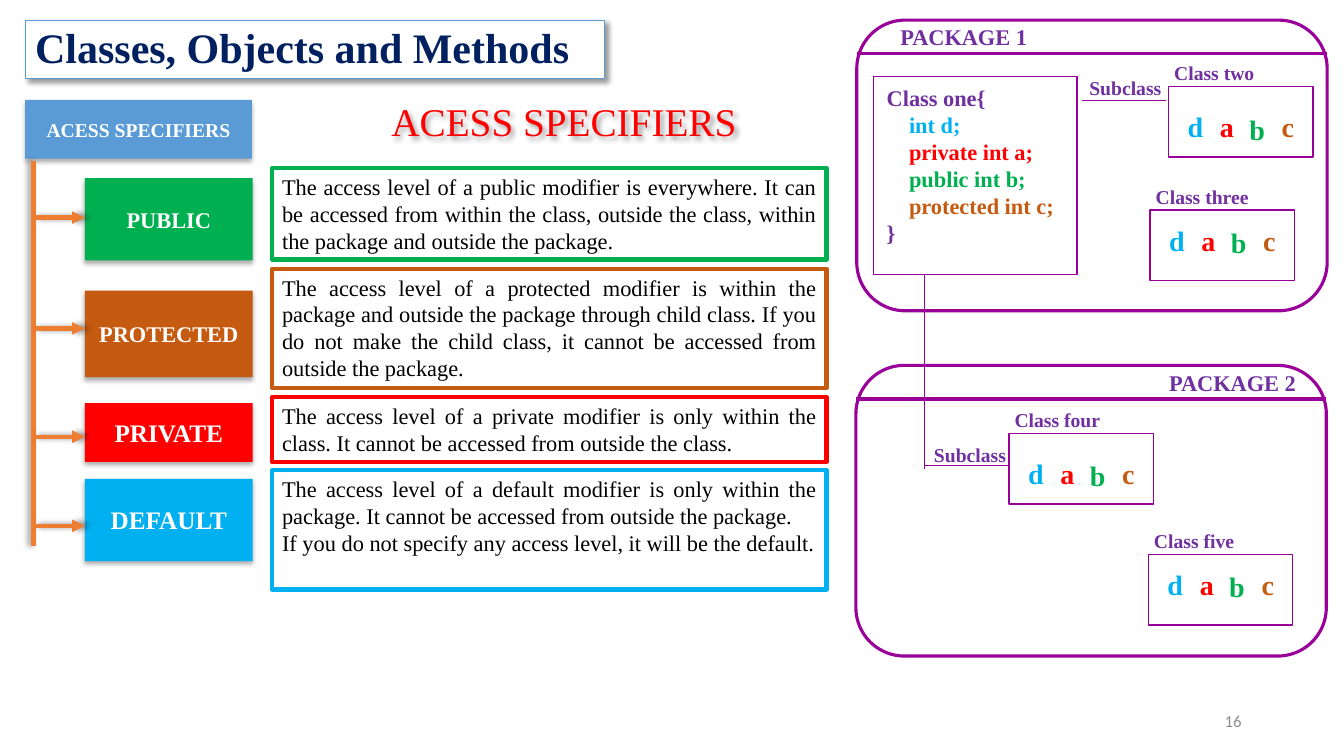
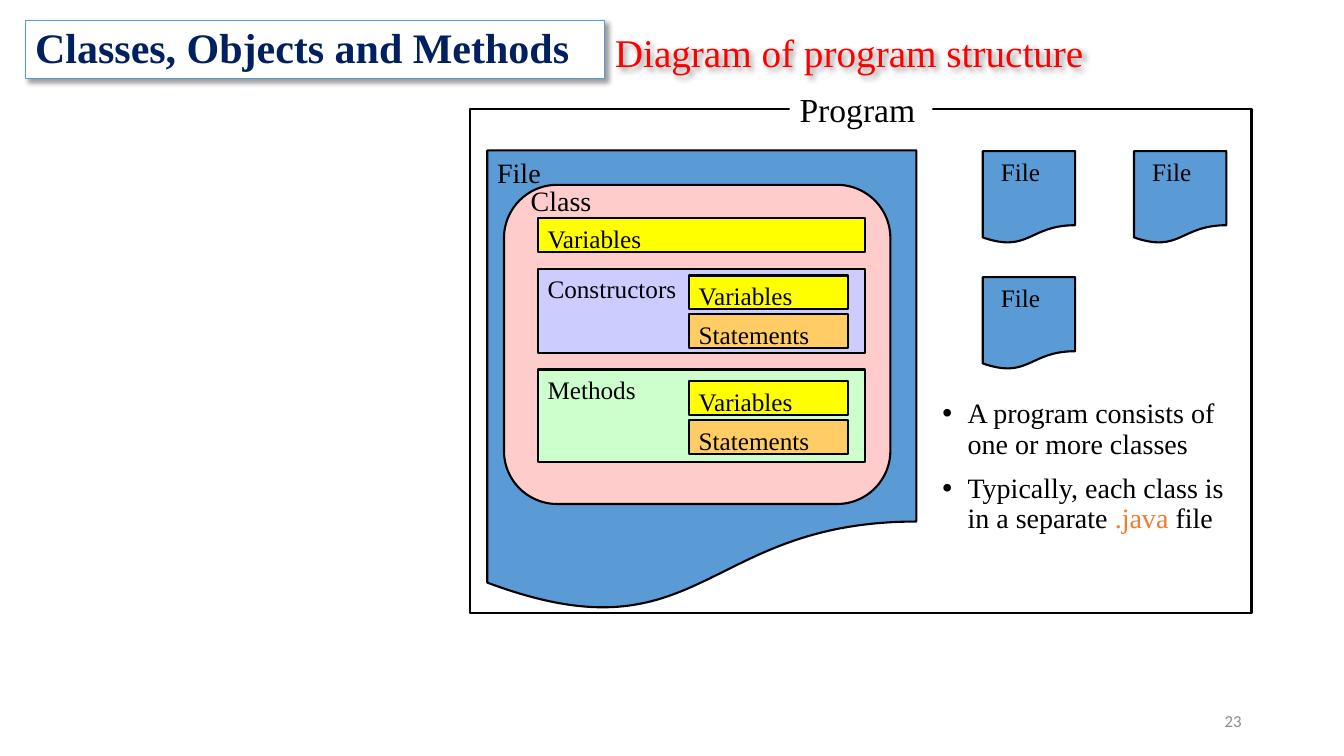
from lxml import etree
from pptx import Presentation
from pptx.dml.color import RGBColor
from pptx.enum.shapes import MSO_CONNECTOR, MSO_SHAPE
from pptx.enum.text import MSO_ANCHOR, MSO_AUTO_SIZE, PP_ALIGN
from pptx.oxml.ns import qn
from pptx.util import Inches, Pt

RECT = MSO_SHAPE.RECTANGLE
ROUND = MSO_SHAPE.ROUNDED_RECTANGLE
DOCUMENT = MSO_SHAPE.FLOWCHART_DOCUMENT
ALTERNATE = MSO_SHAPE.FLOWCHART_ALTERNATE_PROCESS
PROCESS = MSO_SHAPE.FLOWCHART_PROCESS
STRAIGHT = MSO_CONNECTOR.STRAIGHT
LEFT, CENTER, RIGHT, JUSTIFY = (
    PP_ALIGN.LEFT, PP_ALIGN.CENTER, PP_ALIGN.RIGHT, PP_ALIGN.JUSTIFY)
TOP, MIDDLE = MSO_ANCHOR.TOP, MSO_ANCHOR.MIDDLE
NO_FIT = MSO_AUTO_SIZE.NONE

# Every length on the slides is in columns and rows of this grid
WIDTH, HEIGHT = Inches(13.33), Inches(7.5)
COLS, ROWS = 160, 90
TITLE_ONLY = 5
FONT, NUMBER_FONT = "Times New Roman", "Calibri"

C = {
    "black": "000000", "white": "FFFFFF", "navy": "002060", "gray": "8C8C8C",
    "blue": "5B9BD5", "orange": "ED7D31", "violet": "990099", "purple": "7030A0",
    "public": "00B050", "protected": "C55A11", "private": "FF0000",
    "default": "00B0F0", "red": "FF0000", "pink": "FFCCCC", "yellow": "FFFF00",
    "lilac": "CCCCFF", "mint": "CCFFCC", "amber": "FFCC66",
}

# Shadows: opacity %, blur pt, distance pt, direction in degrees
BOX_SHADOW = (32, 3.5, 2.2, 90)
BANNER_SHADOW = (40, 4, 3, 45)
TRUNK_SHADOW = (40, 4, 3, 180)
ARROW_SHADOW = (40, 4, 3, 0)

# Name, label size, label top and height, arrow row, text top and height, text
SPECIFIERS = [
    ("public", 16, 21.2, 9.8, 25.9, 20, 10.9, [
        "The access level of a public modifier is everywhere. It can be accessed "
        "from within the class, outside the class, within the package and "
        "outside the package."]),
    ("protected", 16, 34.6, 10.3, 39.1, 32, 14.2, [
        "The access level of a protected modifier is within the package and "
        "outside the package through child class. If you do not make the child "
        "class, it cannot be accessed from outside the package."]),
    ("private", 18, 48, 7, 52, 47.3, 7.7, [
        "The access level of a private modifier is only within the class. It "
        "cannot be accessed from outside the class."]),
    ("default", 18, 57, 9.8, 62.6, 56, 14.2, [
        "The access level of a default modifier is only within the package. It "
        "cannot be accessed from outside the package.",
        "If you do not specify any access level, it will be the default."]),
]

FIELDS = [("int d;", "default"), ("private int a;", "private"),
          ("public int b;", "public"), ("protected int c;", "protected")]

# Member letter, colour, column and row offset
MEMBERS = [("d", "default", 0, 0), ("a", "private", 3.85, 0),
           ("b", "public", 7.35, 0.24), ("c", "protected", 11.2, 0)]

# Name, left, top, row offset of the letters
CLASSES = [("Class two", 139.1, 10.3, 2.2), ("Class three", 136.9, 25, 1),
           ("Class four", 120.1, 51.6, 2.2), ("Class five", 136.7, 66, 1)]


def gx(cols):
    return round(WIDTH * cols / COLS)


def gy(rows):
    return round(HEIGHT * rows / ROWS)


def place(left, top, width, height):
    return gx(left), gy(top), gx(width), gy(height)


def rgb(name):
    return RGBColor.from_string(C[name])


def sub(parent, tag, **attrs):
    return etree.SubElement(parent, qn(tag), {k: str(v) for k, v in attrs.items()})


def set_shadow(sp, shadow=None):
    """Replace the theme shadow; call once fill and line are set."""
    effects = sub(sp._element.spPr, "a:effectLst")
    if shadow:
        opacity, blur, dist, angle = shadow
        outer = sub(effects, "a:outerShdw", blurRad=Pt(blur), dist=Pt(dist),
                    dir=angle * 60000, algn="ctr", rotWithShape=0)
        color = sub(outer, "a:srgbClr", val=C["black"])
        sub(color, "a:alpha", val=opacity * 1000)


def write(sp, paragraphs, size, color="black", bold=False, align=LEFT,
          anchor=TOP, font=FONT, spacing=None, gap=0, bullet=False,
          inset=(0.1, 0.05)):
    """Fill a shape; a paragraph is a string or a list of (text, colour) runs."""
    tf = sp.text_frame
    tf.word_wrap, tf.auto_size, tf.vertical_anchor = True, NO_FIT, anchor
    tf.margin_left, tf.margin_top = (Inches(m) for m in inset)
    tf.margin_right, tf.margin_bottom = Inches(0.1), 0 if anchor == TOP else Inches(0.05)
    for i, runs in enumerate(paragraphs):
        p = tf.add_paragraph() if i else tf.paragraphs[0]
        if bullet:
            pPr = p._p.get_or_add_pPr()
            pPr.set("marL", str(Inches(0.25)))
            pPr.set("indent", str(-Inches(0.25)))
            sub(pPr, "a:buFont", typeface="Arial")
            sub(pPr, "a:buChar", char="•")
        p.alignment = align
        if spacing:
            p.line_spacing = spacing
        p.space_before = Pt(gap if i else 0)
        for text, run_color in [(runs, color)] if isinstance(runs, str) else runs:
            r = p.add_run()
            r.text = text
            r.font.name, r.font.size, r.font.bold = font, Pt(size), bold
            r.font.color.rgb = rgb(run_color)


def add_box(s, kind, at, fill=None, line=None, weight=1.5, shadow=None):
    sp = s.shapes.add_shape(kind, *place(*at))
    if fill:
        sp.fill.solid()
        sp.fill.fore_color.rgb = rgb(fill)
    else:
        sp.fill.background()
    if line:
        sp.line.color.rgb = rgb(line)
        sp.line.width = Pt(weight)
    else:
        sp.line.fill.background()
    set_shadow(sp, shadow)
    return sp


def add_label(s, text, at, size, **style):
    write(s.shapes.add_textbox(*place(*at)), [text], size, **style)


def add_line(s, x1, y1, x2, y2, color, weight, arrow=False, shadow=None):
    line = s.shapes.add_connector(STRAIGHT, gx(x1), gy(y1), gx(x2), gy(y2))
    line.line.color.rgb = rgb(color)
    line.line.width = Pt(weight)
    if arrow:
        sub(line.get_or_add_ln(), "a:tailEnd", type="triangle")
    set_shadow(line, shadow)


def add_slide(prs, title, title_at, number):
    """Slide with the shared banner, a red title and a page number."""
    s = prs.slides.add_slide(prs.slide_layouts[TITLE_ONLY])
    sp = s.shapes.title
    sp.left, sp.top, sp.width, sp.height = place(*title_at)
    write(sp, [title], 28, "red", anchor=MIDDLE, spacing=0.9)
    set_shadow(sp, BANNER_SHADOW)
    banner = add_box(s, RECT, (3, 2.4, 69, 7), "white", "blue", 0.75, BANNER_SHADOW)
    write(banner, ["Classes, Objects and Methods"], 30, "navy", bold=True,
          anchor=MIDDLE, spacing=0.9)
    add_label(s, number, (113, 83.4, 36, 4.8), 12, color="gray", align=RIGHT,
              anchor=MIDDLE, font=NUMBER_FONT)
    return s


# Access specifiers
def add_tag(s, text, at, fill, size):
    sp = add_box(s, RECT, at, fill, shadow=BOX_SHADOW)
    write(sp, [text], size, "white", bold=True, align=CENTER, anchor=MIDDLE)


def add_specifiers(s):
    add_tag(s, "ACESS SPECIFIERS", (3, 11.9, 27, 7), "blue", 14)
    add_line(s, 4, 19.2, 4, 65, "orange", 3, shadow=TRUNK_SHADOW)
    for name, size, top, height, arrow_y, text_top, text_height, text in SPECIFIERS:
        add_tag(s, name.upper(), (10.1, top, 20, height), name, size)
        add_line(s, 4, arrow_y, 10.1, arrow_y, "orange", 3, True, ARROW_SHADOW)
        sp = add_box(s, RECT, (32.4, text_top, 66, text_height), line=name, weight=3)
        write(sp, text, 16, align=JUSTIFY)


# Packages and their classes
def add_package(s, name, left, top, name_left):
    add_box(s, ROUND, (left, top, 56, 34.6), "white", "violet", 2.25)
    add_line(s, left, top + 4, left + 56, top + 4, "violet", 2.25)
    add_label(s, name, (name_left, top - 0.2, 20, 4.4), 16, color="purple", bold=True)


def add_class(s, name, left, top, drop):
    add_box(s, RECT, (left, top, 17.2, 8.4), "white", "violet", 1)
    add_label(s, name, (left - 0.5, top - 3.6, 15, 4), 14, color="purple", bold=True)
    for letter, color, dx, dy in MEMBERS:
        add_label(s, letter, (left + 1.1 + dx, top + drop + dy, 4.4, 5.2), 20,
                  color=color, bold=True)


def add_packages(s):
    add_package(s, "PACKAGE 1", 102, 2.4, 106)
    add_package(s, "PACKAGE 2", 101.9, 43.5, 138)
    code = [[("    ", "purple"), field] for field in FIELDS]
    sp = add_box(s, RECT, (104, 9.1, 24.2, 23.6), "white", "violet", 1)
    write(sp, ["Class one{", *code, "}"], 16, "purple", bold=True, inset=(0.13, 0.08))
    for row in CLASSES:
        add_class(s, *row)
    for left, top in [(128.5, 8.4), (110, 52.1)]:
        add_label(s, "Subclass", (left, top, 12, 4), 14, color="purple", bold=True)
    for ends in [(128.8, 11.9, 138.8, 11.9), (110, 32.8, 110, 55.8),
                 (110, 55.4, 120.1, 55.4)]:
        add_line(s, *ends, "violet", 0.5)


# Program structure
def add_part(s, kind, text, at, fill, size=18, inset=(0.1, 0.05)):
    write(add_box(s, kind, at, fill, "black"), [text], size, inset=inset)


def add_program(s):
    add_box(s, RECT, (56, 13, 93, 60), line="black")
    write(add_box(s, RECT, (94, 10, 17, 6.1), "white"), ["Program"], 24)
    add_part(s, DOCUMENT, "File", (58, 17.9, 51.1, 55.1), "blue", 20)
    for left, top in [(117, 18), (135, 18), (117, 33)]:
        add_part(s, DOCUMENT, "File", (left, top, 11, 11), "blue", inset=(0.18, 0.05))
    add_box(s, ALTERNATE, (60, 22, 46, 38), "pink", "black")
    add_label(s, "Class", (62, 21.2, 10, 5.2), 20)
    add_part(s, PROCESS, "Variables", (64, 26, 39, 4), "yellow")
    for name, top, height, fill, inner_top in [
            ("Constructors", 32, 10, "lilac", 32.8), ("Methods", 44, 11, "mint", 45.4)]:
        add_part(s, PROCESS, name, (64, top, 39, height), fill)
        add_part(s, PROCESS, "Variables", (82, inner_top, 19, 4), "yellow")
        add_part(s, PROCESS, "Statements", (82, inner_top + 4.6, 19, 4), "amber")


def add_notes_list(s):
    sp = s.shapes.add_textbox(*place(111, 47, 38, 20))
    write(sp, ["A program consists of one or more classes",
               [("Typically, each class is in a separate ", "black"),
                (".java", "orange"), (" file", "black")]],
          20, spacing=0.9, gap=10, bullet=True)


def main():
    prs = Presentation()
    prs.slide_width, prs.slide_height = WIDTH, HEIGHT

    s = add_slide(prs, "ACESS SPECIFIERS", (45.4, 11.3, 46, 6.8), "16")
    add_specifiers(s)
    add_packages(s)

    s = add_slide(prs, "Diagram of program structure", (72, 3.4, 70, 6.3), "23")
    add_program(s)
    add_notes_list(s)

    prs.save("out.pptx")


if __name__ == "__main__":
    main()
